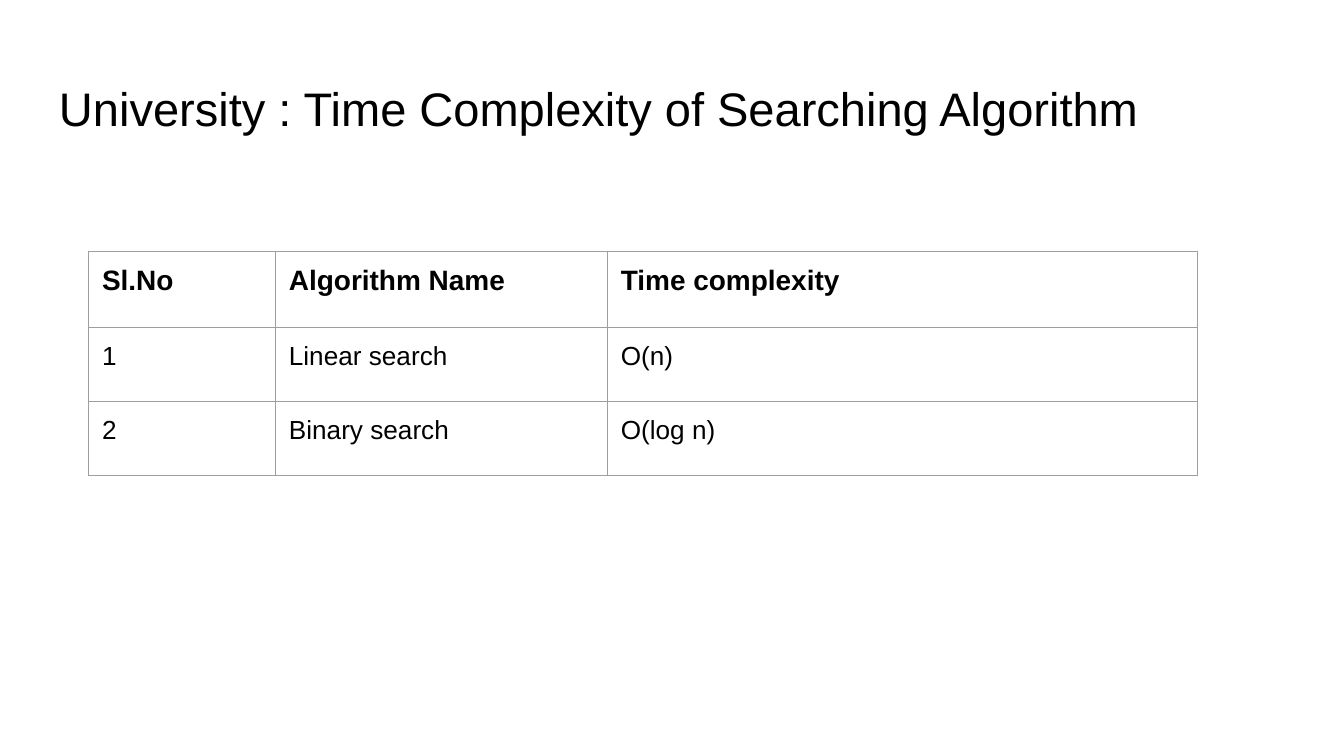
from lxml import etree
from pptx import Presentation
from pptx.dml.color import RGBColor
from pptx.enum.text import MSO_ANCHOR
from pptx.oxml.ns import qn
from pptx.util import Inches, Pt

FONT = "Arial"
TEXT_COLOR = "000000"
BORDER_COLOR = "9E9E9E"
BORDER_WIDTH = 0.75
INSET = 0.1

TITLE = "University : Time Complexity of Searching Algorithm"
COLUMN_WIDTHS = [1.39, 2.47, 4.39]
ROW_HEIGHTS = [0.57, 0.55, 0.55]
ROWS = [
    ["Sl.No", "Algorithm Name", "Time complexity"],
    ["1", "Linear search", "O(n)"],
    ["2", "Binary search", "O(log n)"],
]


def rgb(color):
    return RGBColor.from_string(color)


def set_margins(target):
    """Give a text frame or a table cell the same inset on all sides."""
    for side in ("left", "top", "right", "bottom"):
        setattr(target, f"margin_{side}", Inches(INSET))


def write_text(tf, text, size, bold=False):
    r = tf.paragraphs[0].add_run()
    r.text = text
    font_format = {"name": FONT, "size": Pt(size), "bold": bold}
    for name, value in font_format.items():
        setattr(r.font, name, value)
    r.font.color.rgb = rgb(TEXT_COLOR)


def add_title(s, text, left, top, width, height):
    sp = s.shapes.add_textbox(*map(Inches, (left, top, width, height)))
    tf = sp.text_frame
    tf.word_wrap = True
    tf.vertical_anchor = MSO_ANCHOR.TOP
    set_margins(tf)
    write_text(tf, text, 25.2)


def set_borders(cell):
    tc_pr = cell._tc.get_or_add_tcPr()
    for i, side in enumerate("LRTB"):
        ln = etree.Element(qn(f"a:ln{side}"), w=str(Pt(BORDER_WIDTH)))
        fill = etree.SubElement(ln, qn("a:solidFill"))
        etree.SubElement(fill, qn("a:srgbClr"), val=BORDER_COLOR)
        tc_pr.insert(i, ln)


def add_complexity_table(s, left, top):
    size = sum(COLUMN_WIDTHS), sum(ROW_HEIGHTS)
    frame = s.shapes.add_table(len(ROWS), len(COLUMN_WIDTHS),
                               *map(Inches, (left, top, *size)))
    table = frame.table
    table.first_row = table.horz_banding = False
    for column, width in zip(table.columns, COLUMN_WIDTHS):
        column.width = Inches(width)
    for i, (row, height) in enumerate(zip(table.rows, ROW_HEIGHTS)):
        row.height = Inches(height)
        header = i == 0
        for cell, text in zip(row.cells, ROWS[i]):
            set_margins(cell)
            cell.fill.background()
            set_borders(cell)
            write_text(cell.text_frame, text, 15 if header else 14, header)


def main():
    prs = Presentation()
    prs.slide_width = Inches(10)
    prs.slide_height = prs.slide_width * 9 // 16
    s = prs.slides.add_slide(prs.slide_layouts[6])
    add_title(s, TITLE, 0.34, 0.49, 9.32, 0.63)
    add_complexity_table(s, 0.66, 1.87)
    prs.save("out.pptx")


if __name__ == "__main__":
    main()
